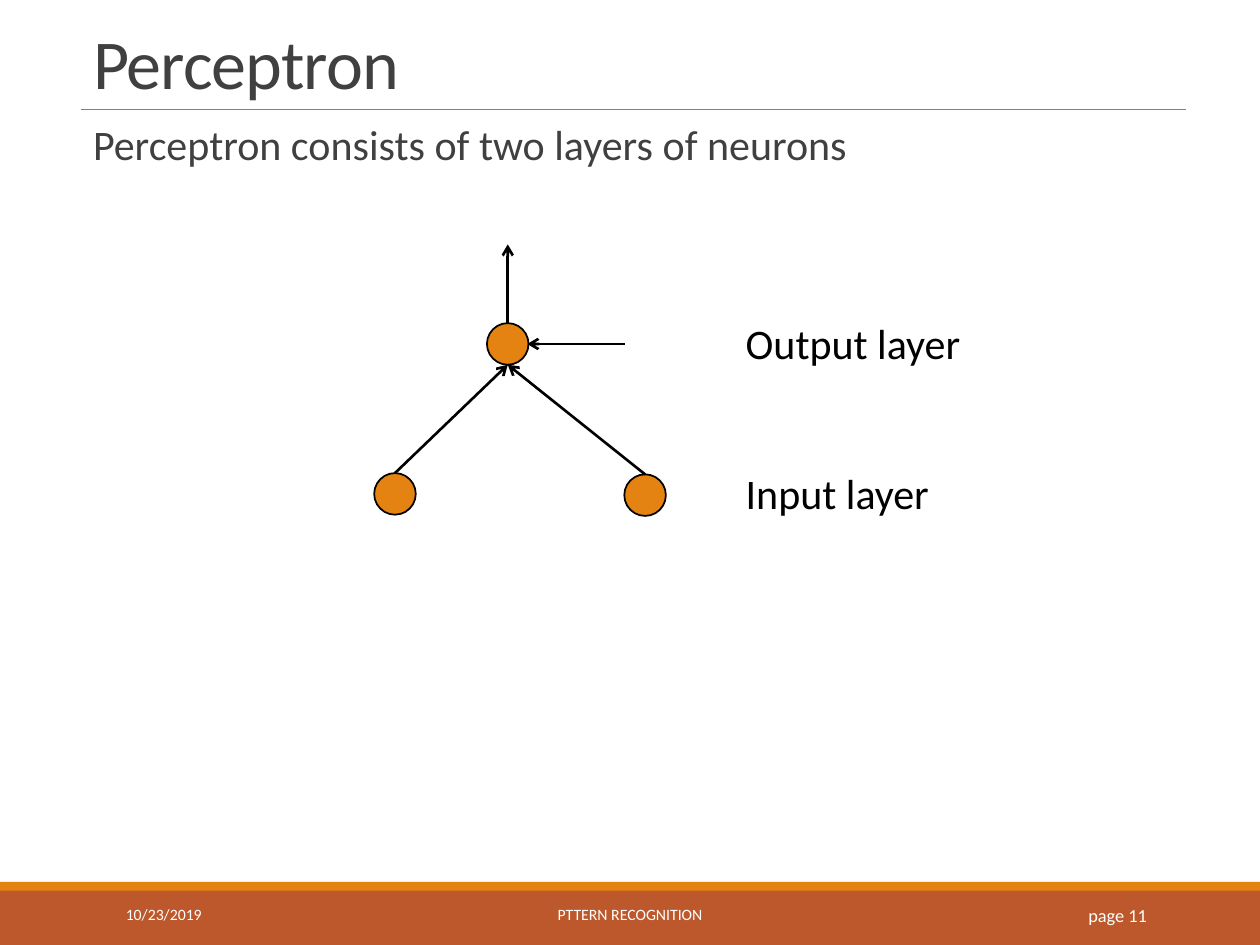
from lxml.etree import SubElement
from pptx import Presentation
from pptx.dml.color import RGBColor
from pptx.enum.shapes import MSO_CONNECTOR, MSO_SHAPE
from pptx.enum.text import MSO_ANCHOR, PP_ALIGN
from pptx.oxml.ns import qn
from pptx.util import Inches, Pt

ORANGE, RUST, GREY, BLACK, WHITE = "E48312", "BD582C", "404040", "000000", "FFFFFF"
NEURON_SIZE = 0.33


def color(hex_value):
    """Turn a hex string into a colour."""
    return RGBColor.from_string(hex_value)


def add_text(slide, box, text, size=24, fill=BLACK, align=PP_ALIGN.LEFT,
             anchor=MSO_ANCHOR.TOP, line_spacing=1.0, tracking=None):
    """Write one paragraph of text in a box."""
    frame = slide.shapes.add_textbox(*map(Inches, box)).text_frame
    frame.word_wrap = True
    frame.vertical_anchor = anchor
    paragraph = frame.paragraphs[0]
    paragraph.alignment = align
    paragraph.line_spacing = line_spacing
    run = paragraph.add_run()
    run.text = text
    run.font.name = "Calibri"
    run.font.size = Pt(size)
    run.font.color.rgb = color(fill)
    if tracking is not None:
        run.font._element.set("spc", str(int(tracking * 100)))


def add_filled(slide, preset, box, fill, outline=None):
    """Draw a filled preset shape, outlined on request."""
    shape = slide.shapes.add_shape(preset, *map(Inches, box))
    shape.shadow.inherit = False
    shape.fill.solid()
    shape.fill.fore_color.rgb = color(fill)
    if outline:
        shape.line.color.rgb = color(outline)
        shape.line.width = Pt(1)
    else:
        shape.line.fill.background()


def add_line(slide, start, end, stroke=BLACK, width=1.5, arrow=True):
    """Draw a straight line, with an arrowhead at its end by default."""
    line = slide.shapes.add_connector(
        MSO_CONNECTOR.STRAIGHT, *map(Inches, (*start, *end)))
    line.line.color.rgb = color(stroke)
    line.line.width = Pt(width)
    if arrow:
        SubElement(line.line._get_or_add_ln(), qn("a:tailEnd"), type="arrow")
    SubElement(line._element.spPr, qn("a:effectLst"))


def add_heading(slide, left, top, width):
    """Place the title, its rule and the statement below it."""
    rule = top + 0.74
    add_text(slide, (left, top, width, 0.74), "Perceptron", size=40, fill=GREY,
             anchor=MSO_ANCHOR.BOTTOM, line_spacing=0.85, tracking=-0.5)
    add_line(slide, (left, rule), (left + width, rule), "808080", 0.5, arrow=False)
    add_text(slide, (left, rule + 0.07, width, 5.95),
             "Perceptron consists of two layers of neurons", fill=GREY, line_spacing=0.9)


def add_network(slide, left, top):
    """Place the two layers of neurons with their arrows and labels."""
    radius = NEURON_SIZE / 2
    output_x, output_y = left + 1.06, top + 0.79
    input_centers = [(left + radius, top + 1.98), (left + 2.15, top + 1.99)]
    for x, y in [(output_x, output_y), *input_centers]:
        add_filled(slide, MSO_SHAPE.OVAL,
                   (x - radius, y - radius, NEURON_SIZE, NEURON_SIZE), ORANGE, BLACK)
    for x, y in input_centers:
        add_line(slide, (x, y - radius), (output_x, output_y + radius))
    add_line(slide, (output_x, output_y - radius), (output_x, top))
    add_line(slide, (left + 1.99, output_y), (output_x + radius - 0.01, output_y))
    for label, y in [("Output layer", top + 0.53), ("Input layer", top + 1.72)]:
        add_text(slide, (left + 2.85, y, 1.93, 0.5), label)


def add_footer(slide, top, width):
    """Place the footer bands with the date, course and page number."""
    add_filled(slide, MSO_SHAPE.RECTANGLE, (0, top + 0.06, width, 0.44), RUST)
    add_filled(slide, MSO_SHAPE.RECTANGLE, (0, top, width, 0.07), ORANGE)
    entries = [
        ("10/23/2019", 0.9, 2.03, 9, PP_ALIGN.LEFT),
        ("PTTERN RECOGNITION", 3.02, 3.96, 9, PP_ALIGN.CENTER),
        ("page 11", 8.12, 1.08, 10.5, PP_ALIGN.RIGHT),
    ]
    for text, left, entry_width, size, align in entries:
        add_text(slide, (left, top + 0.06, entry_width, 0.4), text, size=size,
                 fill=WHITE, align=align, anchor=MSO_ANCHOR.MIDDLE)


def main():
    """Build and save the slide."""
    presentation = Presentation()
    presentation.slide_width, presentation.slide_height = Inches(10), Inches(7.5)
    slide = presentation.slides.add_slide(presentation.slide_layouts[6])
    add_footer(slide, top=7, width=10)
    add_heading(slide, left=0.64, top=0.13, width=8.77)
    add_network(slide, left=2.97, top=1.94)
    presentation.save("out.pptx")


if __name__ == "__main__":
    main()
